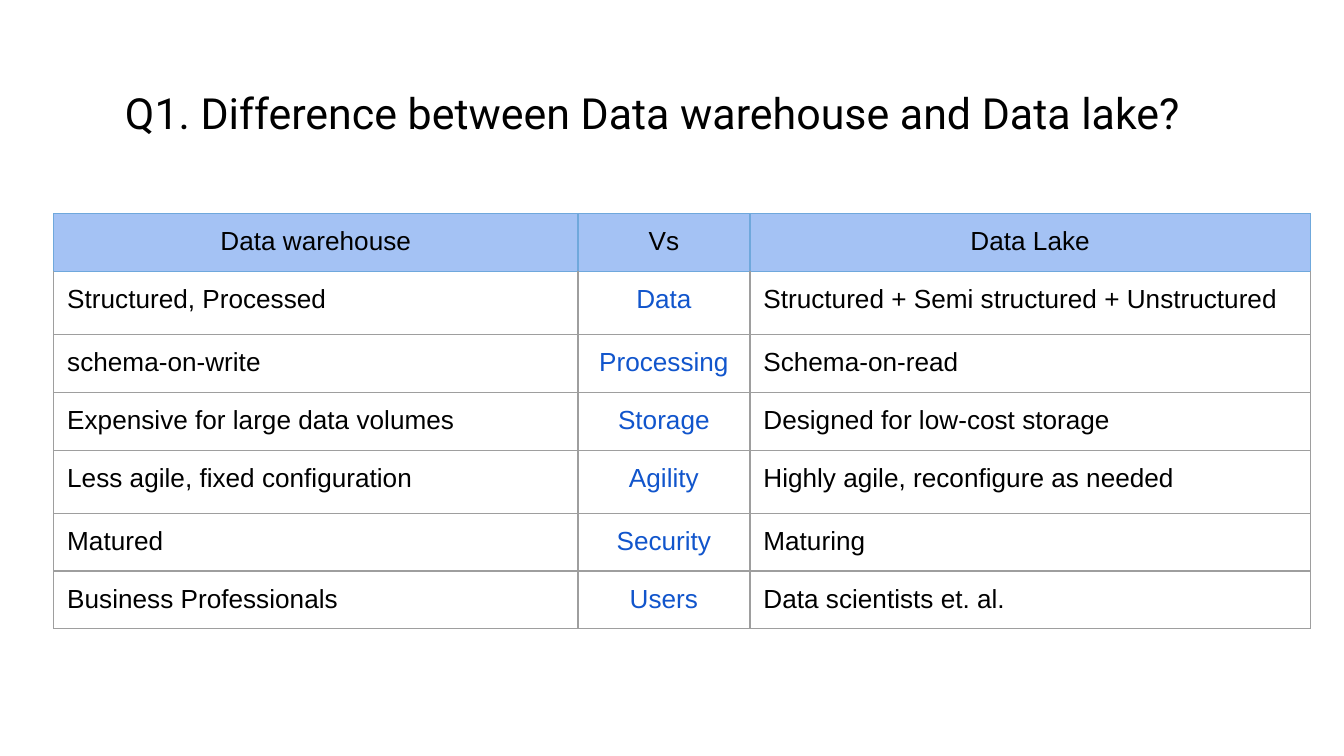
from lxml import etree
from pptx import Presentation
from pptx.dml.color import RGBColor
from pptx.enum import text as t
from pptx.oxml import ns
from pptx.util import Inches, Pt

COLORS = {
    "ink": "000000",
    "topic": "1155CC",
    "header": "A4C2F4",
    "header_border": "6FA8DC",
    "border": "9E9E9E",
}
COLUMN_WIDTHS = [3.9, 1.28, 4.17]
ROW_HEIGHTS = [0.43, 0.47, 0.43, 0.43, 0.47, 0.43, 0.43]
COMPARISON = [
    ("Data warehouse", "Vs", "Data Lake"),
    ("Structured, Processed", "Data", "Structured + Semi structured + Unstructured"),
    ("schema-on-write", "Processing", "Schema-on-read"),
    ("Expensive for large data volumes", "Storage", "Designed for low-cost storage"),
    ("Less agile, fixed configuration", "Agility", "Highly agile, reconfigure as needed"),
    ("Matured", "Security", "Maturing"),
    ("Business Professionals", "Users", "Data scientists et. al."),
]


def write_text(holder, content, size=14, font="Arial", color="ink",
               align=t.PP_ALIGN.LEFT, inset=0.1):
    holder.margin_left = holder.margin_right = Inches(inset)
    holder.margin_top = holder.margin_bottom = Inches(inset)
    frame = getattr(holder, "text_frame", holder)
    paragraph = frame.paragraphs[0]
    paragraph.alignment = align
    run = paragraph.add_run()
    run.text = content
    run.font.size = Pt(size)
    run.font.name = font
    run.font.bold = False
    run.font.color.rgb = RGBColor.from_string(COLORS[color])


def set_borders(cell, color, top_color):
    properties = cell._tc.get_or_add_tcPr()
    for position, side in enumerate("LRTB"):
        line = etree.Element(ns.qn(f"a:ln{side}"), w=str(Pt(0.75)))
        fill = etree.SubElement(line, ns.qn("a:solidFill"))
        side_color = top_color if side == "T" else color
        etree.SubElement(fill, ns.qn("a:srgbClr"), val=COLORS[side_color])
        properties.insert(position, line)


def add_title(slide, content):
    title = slide.shapes.title
    title.left, title.top = Inches(0.93), Inches(0.63)
    title.width, title.height = Inches(8.54), Inches(0.4)
    frame = title.text_frame
    frame.auto_size = t.MSO_AUTO_SIZE.NONE
    frame.vertical_anchor = t.MSO_ANCHOR.BOTTOM
    write_text(frame, content, size=23, font="Roboto", inset=0)


def fill_cell(cell, content, is_header, is_topic, below_header):
    centered = is_header or is_topic
    write_text(
        cell, content,
        color="topic" if is_topic and not is_header else "ink",
        align=t.PP_ALIGN.CENTER if centered else t.PP_ALIGN.LEFT,
    )
    if is_header:
        cell.fill.solid()
        cell.fill.fore_color.rgb = RGBColor.from_string(COLORS["header"])
    else:
        cell.fill.background()
    set_borders(
        cell,
        "header_border" if is_header else "border",
        "header_border" if is_header or below_header else "border",
    )


def add_comparison(slide):
    table = slide.shapes.add_table(
        len(ROW_HEIGHTS), len(COLUMN_WIDTHS), Inches(0.4), Inches(1.59),
        Inches(sum(COLUMN_WIDTHS)), Inches(sum(ROW_HEIGHTS)),
    ).table
    table.first_row = table.horz_banding = False
    for column, width in zip(table.columns, COLUMN_WIDTHS):
        column.width = Inches(width)
    for row, height in zip(table.rows, ROW_HEIGHTS):
        row.height = Inches(height)
    for row_index, entries in enumerate(COMPARISON):
        for column_index, entry in enumerate(entries):
            fill_cell(
                table.cell(row_index, column_index), entry,
                is_header=row_index == 0,
                is_topic=column_index == 1,
                below_header=row_index == 1,
            )


def main():
    deck = Presentation()
    deck.slide_width = Inches(10)
    deck.slide_height = deck.slide_width * 9 // 16
    slide = deck.slides.add_slide(deck.slide_layouts[5])
    add_title(slide, "Q1. Difference between Data warehouse and Data lake?")
    add_comparison(slide)
    deck.save("out.pptx")


if __name__ == "__main__":
    main()
